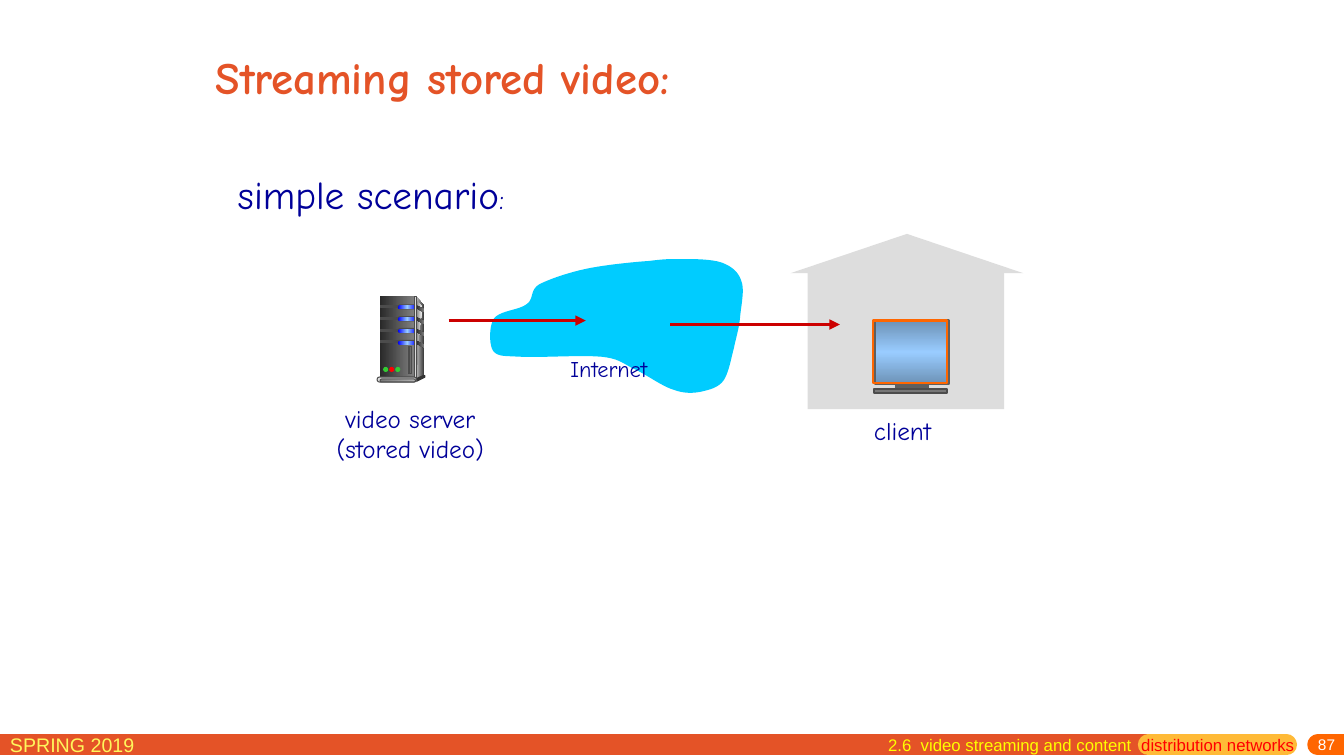
from lxml.etree import SubElement
from pptx import Presentation
from pptx.dml.color import RGBColor
from pptx.enum.shapes import MSO_CONNECTOR, MSO_SHAPE
from pptx.enum.text import MSO_ANCHOR, PP_ALIGN
from pptx.oxml.ns import qn
from pptx.util import Inches, Pt

THEME = {
    "title": "E45327", "ink": "000099", "bar": "E45327", "current": "FFBA37",
    "page": "FF6600", "term": "FFF65C", "chapter": "FFFF00", "topic": "FF0000",
    "white": "FFFFFF", "house": "DDDDDD", "cloud": "00CCFF", "arrow": "CC0000",
    "edge": "4C4C4C", "dark": "333333", "green": "33CC33", "red": "FF0000",
    "stand": "5F5F5F", "base": "777777", "frame": "FF6600",
    "side": ("DDDDDD", "333333"), "front": ("292929", "808080"),
    "sheen": ("808080", "F8F8F8"), "foot": ("777777", "B2B2B2"),
    "light": ("0000FF", "99CCFF", "0000FF"),
    "column": ("333333", "DDDDDD", "333333"),
    "screen": ("6D92B6", "99CCFF", "6D92B6"),
    "comic": "Comic Neue", "sans": "Arial",
    "title_size": 32, "heading_size": 28, "colon_size": 20, "label_size": 18,
    "cloud_size": 16, "term_size": 14, "chapter_size": 12, "page_size": 11,
}

RECT, PILL, OVAL = MSO_SHAPE.RECTANGLE, MSO_SHAPE.ROUNDED_RECTANGLE, MSO_SHAPE.OVAL
ROOF = MSO_SHAPE.ISOSCELES_TRIANGLE

FOOTER_BARS = [(-0.18, 11.39, "bar"), (11.39, 12.76, "current"), (13.07, 13.6, "page")]
ARROWS = [(4.45, 5.81, 3.18), (6.65, 8.33, 3.22)]

HOUSE = [
    (ROOF, (7.84, 2.32, 2.31, 0.39), "house", None),
    (RECT, (8.01, 2.71, 1.95, 1.35), "house", None),
]
SERVER_SIDE = [(4.13, 2.94), (4.21, 3.04), (4.21, 3.72), (4.11, 3.76)]
SERVER_SHEEN = [(4.13, 2.99), (4.16, 3.01), (4.19, 3.05), (4.16, 3.27), (4.14, 3.55), (4.13, 3.74)]
SERVER_CORNER = [(4.13, 3.75), (4.13, 3.79), (4.21, 3.75), (4.2, 3.72)]
SERVER_FRONT = (RECT, (3.77, 2.94, 0.34, 0.82), "front", None)
DRIVE_TOP, DRIVE_STEP, DRIVE_COUNT = 3.03, 0.117, 4
DRIVE = [
    (RECT, (3.77, 0, 0.19, 0.02), "edge", "edge"),
    (PILL, (3.94, -0.01, 0.19, 0.05), "edge", None),
    (PILL, (3.95, 0, 0.18, 0.04), "light", None),
]
DRIVE_FIN = [(4.13, 0), (4.17, 0.02), (4.21, 0.04), (4.21, 0.07), (4.17, 0.05), (4.13, 0.03)]
SERVER_TRIM = [
    (RECT, (4.11, 2.94, 0.02, 0.82), "column", "edge"),
    (OVAL, (4.2, 3.72, 0.02, 0.03), "dark", None),
]
SERVER_FOOT = [
    (PILL, (3.74, 3.74, 0.39, 0.05), "house", "edge"),
    (PILL, (3.77, 3.76, 0.35, 0.03), "foot", "edge"),
    (RECT, (4.05, 3.44, 0.03, 0.27), "front", "edge"),
]
LAMPS = ["green", "red", "green"]
MONITOR = [
    (RECT, (8.68, 3.18, 0.73, 0.63), "screen", "stand"),
    (RECT, (8.89, 3.81, 0.31, 0.04), "stand", "stand"),
    (RECT, (8.67, 3.86, 0.72, 0.04), "base", "edge"),
    (RECT, (8.66, 3.18, 0.73, 0.62), None, "frame"),
]

CLOUD_START = (6.43, 2.59)
CLOUD_CURVES = [
    ((6.28, 2.6), (5.98, 2.63), (5.8, 2.67)),
    ((5.62, 2.71), (5.45, 2.77), (5.35, 2.82)),
    ((5.25, 2.88), (5.3, 2.97), (5.22, 3.02)),
    ((5.14, 3.08), (4.96, 3.08), (4.9, 3.16)),
    ((4.85, 3.23), (4.85, 3.42), (4.89, 3.48)),
    ((4.94, 3.54), (4.99, 3.53), (5.17, 3.54)),
    ((5.35, 3.55), (5.78, 3.52), (5.97, 3.54)),
    ((6.16, 3.56), (6.19, 3.62), (6.31, 3.67)),
    ((6.43, 3.73), (6.58, 3.84), (6.69, 3.87)),
    ((6.8, 3.91), (6.9, 3.9), (6.98, 3.88)),
    ((7.06, 3.86), (7.13, 3.84), (7.18, 3.77)),
    ((7.23, 3.69), (7.25, 3.56), (7.28, 3.45)),
    ((7.3, 3.35), (7.33, 3.26), (7.34, 3.15)),
    ((7.35, 3.03), (7.39, 2.87), (7.35, 2.78)),
    ((7.32, 2.69), (7.24, 2.63), (7.14, 2.6)),
    ((7.04, 2.57), (6.87, 2.57), (6.75, 2.57)),
    ((6.63, 2.57), (6.59, 2.57), (6.43, 2.59)),
]

LABELS = [
    ([[("Streaming stored video:", "title_size", "title")]], (2.04, 0.13, 8.5, 1.25),
     {"bold": True, "anchor": MSO_ANCHOR.MIDDLE}),
    ([[("simple scenario", "heading_size", "ink"), (":", "colon_size", "ink")]],
     (2.26, 1.64, 3.06, 0.57), {}),
    ([[("video server", "label_size", "ink")], [("(stored video)", "label_size", "ink")]],
     (3.14, 3.95, 1.86, 0.71), {"align": PP_ALIGN.CENTER}),
    ([[("client", "label_size", "ink")]], (8.57, 4.07, 0.86, 0.4), {}),
    ([[("Internet", "cloud_size", "ink")]], (5.56, 3.47, 1.12, 0.37), {}),
    ([[("SPRING 2019", "term_size", "term")]], (0, 7.22, 2.29, 0.31), {"font": "sans"}),
    ([[("87", "page_size", "white")]], (10.75, 7.32, 2.59, 0.18),
     {"font": "sans", "align": PP_ALIGN.RIGHT, "anchor": MSO_ANCHOR.MIDDLE, "top_inset": 0}),
    ([[("2.6  video streaming and content  ", "chapter_size", "chapter"),
       ("distribution networks", "chapter_size", "topic")]],
     (8.71, 7.24, 4.33, 0.31), {"font": "sans"}),
]


def rgb(name):
    return RGBColor.from_string(THEME[name])


def paint(shape, fill, line=None, width=0.75, angle=0):
    shape.shadow.inherit = False
    if fill is None:
        shape.fill.background()
    elif isinstance(THEME[fill], str):
        shape.fill.solid()
        shape.fill.fore_color.rgb = rgb(fill)
    else:
        shape.fill.solid()
        flat = shape._element.spPr.find(qn("a:solidFill"))
        gradient = flat.makeelement(qn("a:gradFill"), {"rotWithShape": "1"})
        flat.getparent().replace(flat, gradient)
        stops = SubElement(gradient, qn("a:gsLst"))
        colors = THEME[fill]
        for i, color in enumerate(colors):
            stop = SubElement(stops, qn("a:gs"), pos=str(100000 * i // (len(colors) - 1)))
            SubElement(stop, qn("a:srgbClr"), val=color)
        SubElement(gradient, qn("a:lin"), ang=str(angle * 60000), scaled="0")
    if line:
        shape.line.color.rgb = rgb(line)
        shape.line.width = Pt(width)
    else:
        shape.line.fill.background()


def add_parts(slide, parts, dy=0, **style):
    for kind, (left, top, width, height), fill, line in parts:
        shape = slide.shapes.add_shape(kind, *map(Inches, (left, top + dy, width, height)))
        if kind == PILL:
            shape.adjustments[0] = 0.5
        paint(shape, fill, line, **style)


def add_outline(slide, points, fill, dy=0):
    corners = [(Inches(x), Inches(y + dy)) for x, y in points]
    builder = slide.shapes.build_freeform(*corners[0])
    builder.add_line_segments(corners[1:], close=True)
    paint(builder.convert_to_shape(), fill)


def trace_curves(start, curves, steps=10):
    points = [start]
    for a, b, end in curves:
        for t in (i / steps for i in range(1, steps + 1)):
            u = 1 - t
            points.append(tuple(
                u**3 * p + 3 * u * u * t * q + 3 * u * t * t * r + t**3 * s
                for p, q, r, s in zip(start, a, b, end)))
        start = end
    return points


def add_line(slide, x1, x2, y, color, width, cap="flat", arrow=False):
    line = slide.shapes.add_connector(MSO_CONNECTOR.STRAIGHT, *map(Inches, (x1, y, x2, y)))
    line.line.color.rgb = rgb(color)
    line.line.width = Pt(width)
    stroke = line.line._get_or_add_ln()
    stroke.set("cap", cap)
    if arrow:
        SubElement(stroke, qn("a:tailEnd"), type="triangle")
    SubElement(line._element.spPr, qn("a:effectLst"))


def add_text(slide, paragraphs, at, font="comic", bold=False, align=PP_ALIGN.LEFT,
             anchor=MSO_ANCHOR.TOP, top_inset=0.05):
    frame = slide.shapes.add_textbox(*map(Inches, at)).text_frame
    frame.word_wrap = True
    frame.vertical_anchor = anchor
    frame.margin_top = Inches(top_inset)
    for i, runs in enumerate(paragraphs):
        paragraph = frame.add_paragraph() if i else frame.paragraphs[0]
        paragraph.alignment = align
        for words, size, color in runs:
            run = paragraph.add_run()
            run.text = words
            run.font.name = THEME[font]
            run.font.size = Pt(THEME[size])
            run.font.bold = bold
            run.font.color.rgb = rgb(color)


def main():
    deck = Presentation()
    deck.slide_width, deck.slide_height = Inches(13.33), Inches(7.5)
    slide = deck.slides.add_slide(deck.slide_layouts[6])
    for x1, x2, color in FOOTER_BARS:
        add_line(slide, x1, x2, 7.39, color, 15, cap="flat" if color == "bar" else "rnd")
    add_parts(slide, HOUSE)
    add_outline(slide, SERVER_SIDE, "side")
    add_parts(slide, [SERVER_FRONT])
    add_outline(slide, SERVER_SHEEN, "sheen")
    for i in range(DRIVE_COUNT):
        top = DRIVE_TOP + i * DRIVE_STEP
        add_parts(slide, DRIVE, dy=top)
        add_outline(slide, DRIVE_FIN, "front", dy=top)
    add_parts(slide, SERVER_TRIM)
    add_outline(slide, SERVER_CORNER, "dark")
    add_parts(slide, SERVER_FOOT)
    add_parts(slide, [(OVAL, (3.8 + 0.06 * i, 3.64, 0.05, 0.05), color, None)
                      for i, color in enumerate(LAMPS)])
    add_parts(slide, MONITOR, width=1.5, angle=90)
    add_outline(slide, trace_curves(CLOUD_START, CLOUD_CURVES), "cloud")
    for x1, x2, y in ARROWS:
        add_line(slide, x1, x2, y, "arrow", 2.5, arrow=True)
    for paragraphs, at, style in LABELS:
        add_text(slide, paragraphs, at, **style)
    deck.save("out.pptx")


if __name__ == "__main__":
    main()
